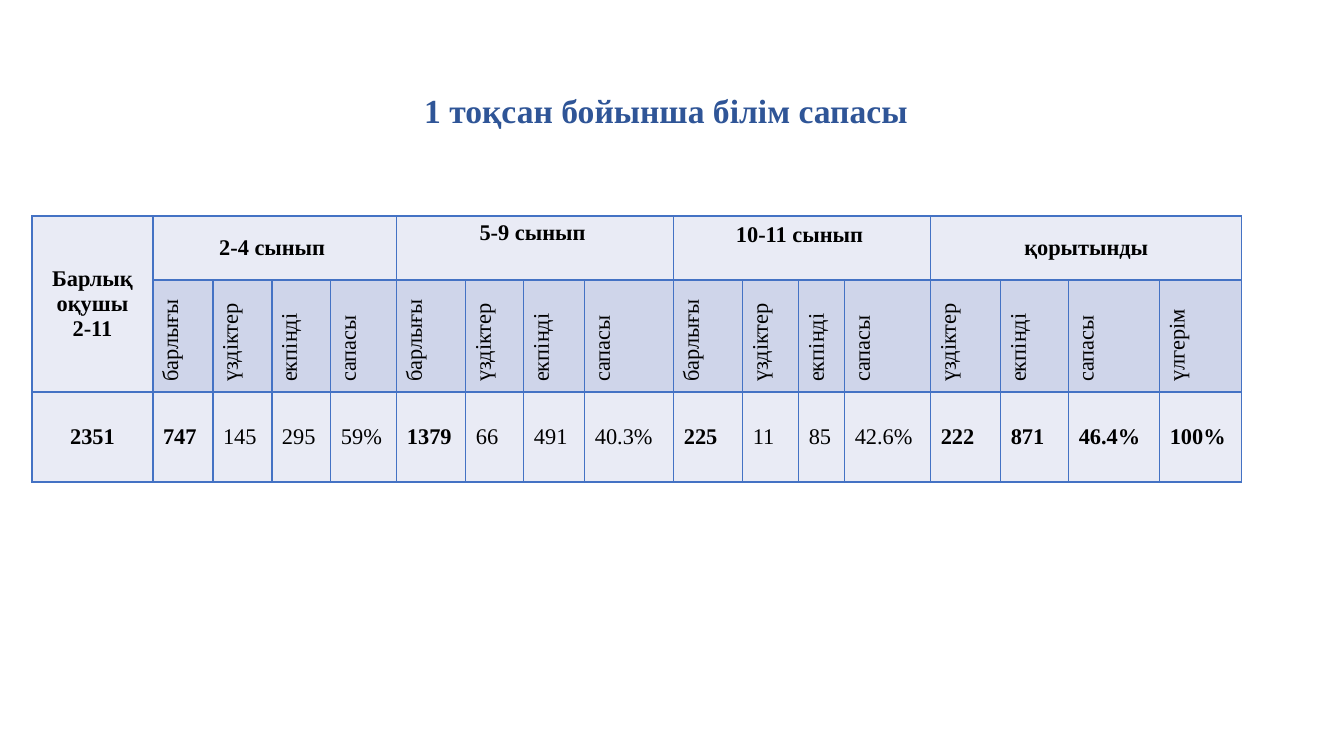
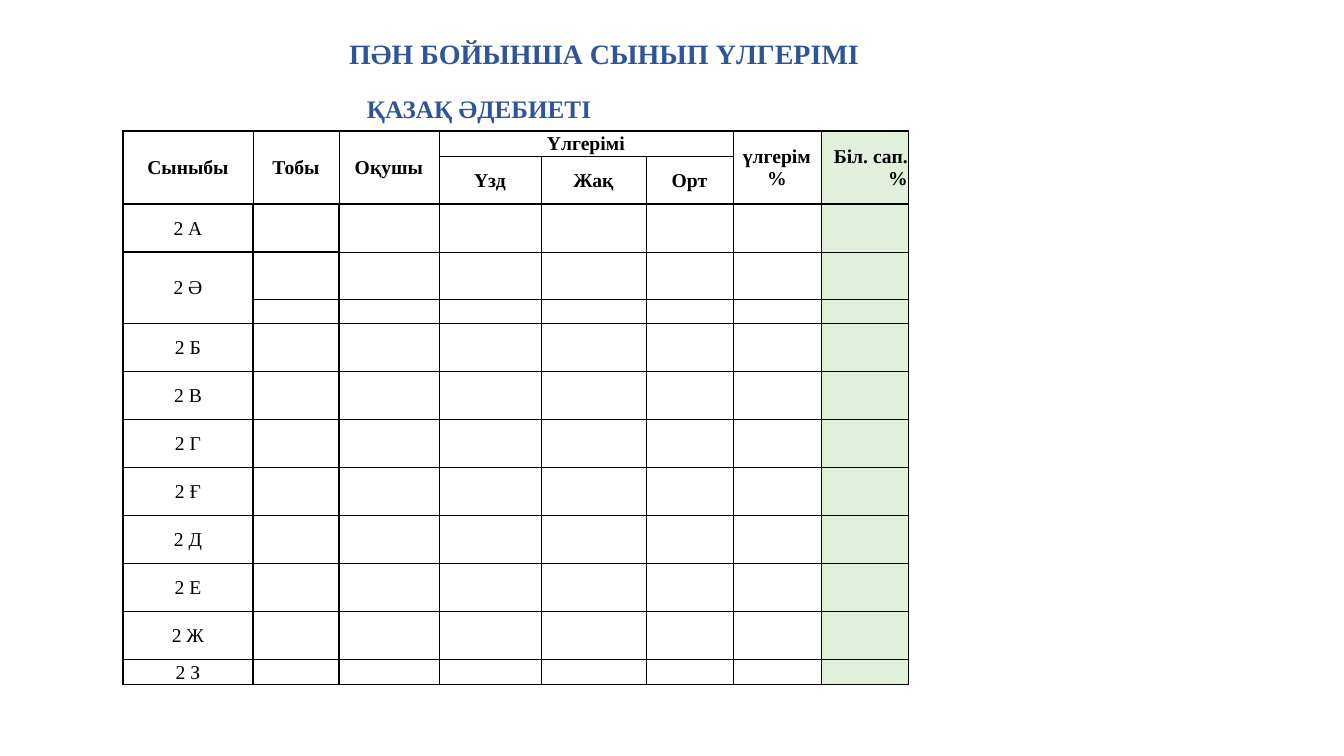
import pptx
import pptx.dml.color
import pptx.enum.text
import pptx.oxml
import pptx.oxml.ns
import pptx.util

PX = 12192000 / 1344  # EMU in one px
FONT = "Times New Roman"
TITLE_BLUE, GRID_BLUE = "2F5597", "4472C4"
BLACK, WHITE = "000000", "FFFFFF"
PALE, BAND, GREEN = "E9EBF5", "CFD5EA", "E2EFDA"
ALIGN = pptx.enum.text.PP_ALIGN
ANCHOR = pptx.enum.text.MSO_ANCHOR


def px(n):
    return pptx.util.Emu(round(n * PX))


def rgb(value):
    return pptx.dml.color.RGBColor.from_string(value)


# Text
def put_text(tf, text, size, color=BLACK, bold=False, align=ALIGN.LEFT):
    """Write one paragraph for each line of the text."""
    for i, line in enumerate(text.split("\n")):
        p = tf.paragraphs[0] if i == 0 else tf.add_paragraph()
        p.alignment = align
        if line:
            r = p.add_run()
            r.text = line
            r.font.name, r.font.size, r.font.bold = FONT, pptx.util.Pt(size), bold
            r.font.color.rgb = rgb(color)
        else:  # an empty cell still needs its text size to keep the row low
            p._p.get_or_add_endParaRPr().set("sz", str(size * 100))


def put_heading(sp, text, box, size):
    sp.left, sp.top, sp.width, sp.height = map(px, box)
    tf = sp.text_frame
    tf.word_wrap = True
    tf.auto_size = pptx.enum.text.MSO_AUTO_SIZE.SHAPE_TO_FIT_TEXT
    tf.vertical_anchor = ANCHOR.TOP
    put_text(tf, text, size, color=TITLE_BLUE, bold=True)


def add_titled_slide(prs, text, box, size):
    s = prs.slides.add_slide(prs.slide_layouts[5])
    put_heading(s.shapes.title, text, box, size)
    return s


# Tables
def add_grid(s, left, top, widths, heights):
    shape = s.shapes.add_table(len(heights), len(widths), px(left), px(top),
                               px(sum(widths)), px(sum(heights)))
    table = shape.table
    table.first_row = table.horz_banding = False
    for col, width in zip(table.columns, widths):
        col.width = px(width)
    for row, height in zip(table.rows, heights):
        row.height = px(height)
    return table


def merge(table, row, col, rows=1, cols=1):
    table.cell(row, col).merge(table.cell(row + rows - 1, col + cols - 1))


def set_borders(cell, color, weights):
    """Weights are points for the left, right, top and bottom sides."""
    tcPr = cell._tc.get_or_add_tcPr()
    for i, (side, weight) in enumerate(zip("LRTB", weights)):
        tcPr.insert(i, pptx.oxml.parse_xml(
            f'<a:ln{side} {pptx.oxml.ns.nsdecls("a")} w="{round(weight * 12700)}">'
            f'<a:solidFill><a:srgbClr val="{color}"/></a:solidFill></a:ln{side}>'))


def put_cell(cell, text, size, fill, line, weights, anchor=ANCHOR.MIDDLE,
             margins=None, upright=False, **text_format):
    cell.fill.solid()
    cell.fill.fore_color.rgb = rgb(fill)
    cell.vertical_anchor = anchor
    if margins:
        (cell.margin_left, cell.margin_top,
         cell.margin_right, cell.margin_bottom) = map(px, margins)
    if upright:
        cell._tc.get_or_add_tcPr().set("vert", "vert270")
    put_text(cell.text_frame, text, size, **text_format)
    if not cell.is_spanned:
        set_borders(cell, line, weights)


# Slide 1: quality of learning
def quality_slide(prs):
    s = add_titled_slide(prs, "1 тоқсан бойынша білім сапасы", (414, 85, 545, 50), 24)
    widths = [121, 60, 59, 59, 66, 69, 58, 61, 89, 69, 56, 46, 86, 70, 68, 91, 82]
    table = add_grid(s, 32, 216, widths, [64, 112, 90])
    groups = ["2-4 сынып ", "5-9 сынып ", "10-11 сынып ", "қорытынды"]
    measures = ["барлығы", "үздіктер", "екпінді", "сапасы"]
    top = ["Барлық оқушы\n2-11"]
    for group in groups:
        top += [group, "", "", ""]
    middle = [""] + measures * 3 + measures[1:] + ["үлгерім"]
    values = ["2351", "747", "145", "295", "59%", "1379", "66", "491", "40.3%",
              "225", "11", "85", "42.6%", "222", "871", "46.4%", "100%"]
    merge(table, 0, 0, rows=2)
    for col in range(1, len(widths), 4):
        merge(table, 0, col, cols=4)

    totals = {0, 1, 5, 9, 13, 14, 15, 16}
    raised = {5: (10, 5, 10, 5), 9: (10, 7, 10, 5)}  # group names set at the top
    style = dict(size=16, line=GRID_BLUE, weights=(1, 1, 1, 1))
    for col in range(len(widths)):
        put_cell(table.cell(0, col), top[col], fill=PALE, bold=True, align=ALIGN.CENTER,
                 anchor=ANCHOR.TOP if col in raised else ANCHOR.MIDDLE,
                 margins=raised.get(col), **style)
        put_cell(table.cell(1, col), middle[col], fill=BAND if col else PALE,
                 anchor=ANCHOR.TOP, upright=col > 0, **style)
        put_cell(table.cell(2, col), values[col], fill=PALE, bold=col in totals,
                 align=ALIGN.LEFT if col else ALIGN.CENTER, **style)


# Slide 2: results by class
def class_slide(prs):
    s = add_titled_slide(prs, "ПӘН БОЙЫНША СЫНЫП ҮЛГЕРІМІ", (339, 31, 731, 44), 20)
    put_heading(s.shapes.add_textbox(0, 0, 0, 0), "ҚАЗАҚ ӘДЕБИЕТІ",
                (357, 88, 671, 40), 18)
    widths = [130, 86, 100, 102, 105, 87, 88, 88]
    heights = [25, 48, 48, 47, 24] + [48] * 7 + [25]
    table = add_grid(s, 123, 131, widths, heights)
    classes = ["2 А", "2 Ә", "", "2 Б", "2 В", "2 Г", "2 Ғ", "2 Д", "2 Е", "2 Ж", "2 З"]
    rows = [["Сыныбы", "Тобы", "Оқушы", "Үлгерімі", "", "", "үлгерім %", "Біл. сап. %"],
            ["", "", "", "Үзд", "Жақ", "Орт", "", ""]]
    rows += [[name] + [""] * 7 for name in classes]
    for col in (0, 1, 2, 6, 7):
        merge(table, 0, col, rows=2)
    merge(table, 0, 3, cols=3)
    merge(table, 3, 0, rows=2)

    last_row, last_col = len(rows) - 1, len(widths) - 1
    for row, texts in enumerate(rows):
        header = row < 2
        for col, text in enumerate(texts):
            cell = table.cell(row, col)
            end = row + (cell.span_height if cell.is_merge_origin else 1)
            # Heavy lines: the frame, under the header, around class and group
            group = not header and col < 2
            split = col == 1 and row in (3, 4)
            heavy = (col == 0 or not header and col <= 2,
                     col == last_col or group,
                     row in (0, 2) or group and not (split and row == 4),
                     end in (2, last_row + 1) or group and not (split and row == 3))
            put_cell(cell, text, 14, GREEN if col == last_col else WHITE, BLACK,
                     [1 if h else 0.5 for h in heavy], margins=(1, 1, 1, 0), bold=header,
                     align=ALIGN.RIGHT if col == last_col else ALIGN.CENTER)


def main():
    prs = pptx.Presentation()
    prs.slide_width, prs.slide_height = px(1344), px(756)
    quality_slide(prs)
    class_slide(prs)
    prs.save("out.pptx")


if __name__ == "__main__":
    main()
